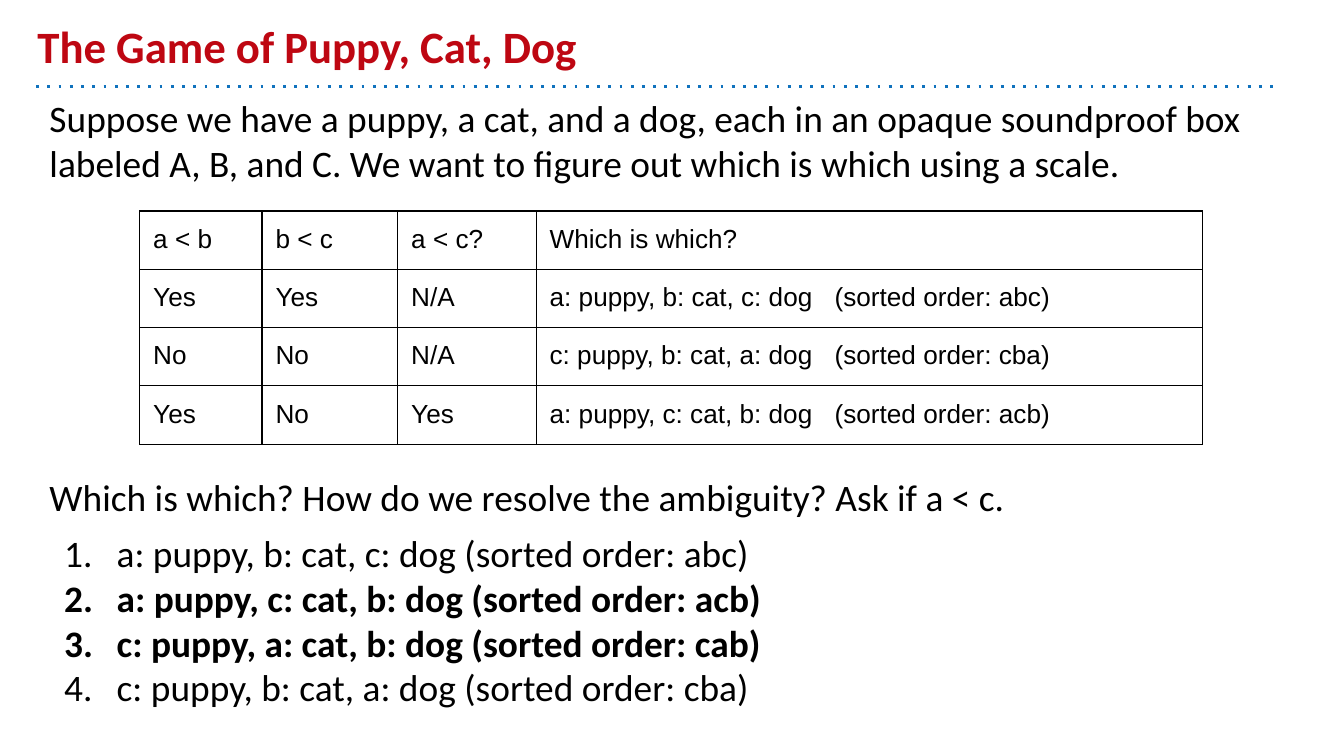
import dataclasses
import typing

import pptx
import pptx.dml.color
import pptx.enum.shapes
import pptx.enum.text
import pptx.oxml.ns
import pptx.util
from lxml import etree

W, H = 10, 5.625
COLORS = {"title": "BE0712", "rule": "1072BD", "ink": "000000", "paper": "FFFFFF"}
COLUMN_SHARES = (0.091, 0.101, 0.103, 0.496)
ROW_SHARE = 0.0747
INSET = 0.1
TAB_STOP = 2.12


@dataclasses.dataclass(frozen=True)
class Box:
    x: float
    y: float
    w: float
    h: float

    def emu(self) -> list[int]:
        return [pptx.util.Inches(v) for v in
                (self.x * W, self.y * H, self.w * W, self.h * H)]


@dataclasses.dataclass(frozen=True)
class Line:
    text: str
    size: float = 20
    color: str = "ink"
    font: str = "Calibri"
    bold: bool = False
    before: float = 0
    numbered: bool = False


TITLE = Line("The Game of Puppy, Cat, Dog", size=24, color="title", bold=True)
BODY = (
    Line("Suppose we have a puppy, a cat, and a dog, each in an opaque soundproof box "
         "labeled A, B, and C. We want to figure out which is which using a scale.", before=6),
    Line("Which is which? How do we resolve the ambiguity? Ask if a < c.", before=155),
    Line("a: puppy, b: cat, c: dog (sorted order: abc)", before=6, numbered=True),
    Line("a: puppy, c: cat, b: dog (sorted order: acb)", bold=True, numbered=True),
    Line("c: puppy, a: cat, b: dog (sorted order: cab)", bold=True, numbered=True),
    Line("c: puppy, b: cat, a: dog (sorted order: cba)", numbered=True),
)
ROWS = (
    ("a < b", "b < c", "a < c?", "Which is which?"),
    ("Yes", "Yes", "N/A", "a: puppy, b: cat, c: dog\t(sorted order: abc)"),
    ("No", "No", "N/A", "c: puppy, b: cat, a: dog\t(sorted order: cba)"),
    ("Yes", "No", "Yes", "a: puppy, c: cat, b: dog\t(sorted order: acb)"),
)


def rgb(name: str) -> pptx.dml.color.RGBColor:
    return pptx.dml.color.RGBColor.from_string(COLORS[name])


def sub(parent: typing.Any, tag: str, **attrs: typing.Any) -> typing.Any:
    return etree.SubElement(parent, pptx.oxml.ns.qn(tag),
                            {k: str(v) for k, v in attrs.items()})


def write(p: typing.Any, line: Line) -> None:
    p.text = line.text
    p.space_before = pptx.util.Pt(line.before)
    for r in p.runs:
        r.font.name, r.font.size, r.font.bold = line.font, pptx.util.Pt(line.size), line.bold
        r.font.color.rgb = rgb(line.color)
    pPr = p._p.get_or_add_pPr()
    if line.numbered:
        pPr.set("marL", str(pptx.util.Inches(0.5)))
        pPr.set("indent", str(pptx.util.Inches(-0.39)))
        sub(pPr, "a:buAutoNum", type="arabicPeriod")
    if "\t" in line.text:
        sub(sub(pPr, "a:tabLst"), "a:tab", pos=pptx.util.Inches(TAB_STOP), algn="l")


def add_text(s: typing.Any, box: Box, lines: typing.Sequence[Line],
             anchor: pptx.enum.text.MSO_ANCHOR) -> None:
    tf = s.shapes.add_textbox(*box.emu()).text_frame
    tf.word_wrap = True
    tf.vertical_anchor = anchor
    tf.margin_left = tf.margin_right = pptx.util.Inches(INSET)
    tf.margin_top = tf.margin_bottom = pptx.util.Inches(INSET)
    for i, line in enumerate(lines):
        write(tf.add_paragraph() if i else tf.paragraphs[0], line)


def add_rule(s: typing.Any, x1: float, x2: float, y: float) -> None:
    left, top, width, _ = Box(x1, y, x2 - x1, 0).emu()
    sp = s.shapes.add_connector(pptx.enum.shapes.MSO_CONNECTOR.STRAIGHT,
                                left, top, left + width, top)
    sp.line.color.rgb = rgb("rule")
    sp.line.width = pptx.util.Pt(1.5)
    spPr = sp._element.spPr
    sub(spPr.find(pptx.oxml.ns.qn("a:ln")), "a:prstDash", val="dot")
    sub(spPr, "a:effectLst")


def format_cell(cell: typing.Any, text: str) -> None:
    cell.margin_left = cell.margin_right = pptx.util.Inches(INSET)
    cell.margin_top = cell.margin_bottom = pptx.util.Inches(INSET)
    write(cell.text_frame.paragraphs[0], Line(text, size=14, font="Arial"))
    tcPr = cell._tc.get_or_add_tcPr()
    for side in "LRTB":
        ln = sub(tcPr, f"a:ln{side}", w=pptx.util.Pt(0.75))
        sub(sub(ln, "a:solidFill"), "a:srgbClr", val=COLORS["ink"])
    cell.fill.solid()
    cell.fill.fore_color.rgb = rgb("paper")


def add_table(s: typing.Any, x: float, y: float) -> None:
    box = Box(x, y, sum(COLUMN_SHARES), ROW_SHARE * len(ROWS))
    table = s.shapes.add_table(len(ROWS), len(COLUMN_SHARES), *box.emu()).table
    table.first_row = table.horz_banding = False
    for column, share in zip(table.columns, COLUMN_SHARES):
        column.width = pptx.util.Inches(share * W)
    for i, texts in enumerate(ROWS):
        table.rows[i].height = pptx.util.Inches(ROW_SHARE * H)
        for j, text in enumerate(texts):
            format_cell(table.cell(i, j), text)


def main() -> None:
    prs = pptx.Presentation()
    prs.slide_width, prs.slide_height = pptx.util.Inches(W), pptx.util.Inches(H)
    s = prs.slides.add_slide(prs.slide_layouts[6])
    add_rule(s, 0.027, 0.95, 0.114)
    add_text(s, Box(0.018, 0.018, 0.9, 0.096), [TITLE], pptx.enum.text.MSO_ANCHOR.BOTTOM)
    add_text(s, Box(0.027, 0.108, 0.923, 0.807), BODY, pptx.enum.text.MSO_ANCHOR.TOP)
    add_table(s, 0.104, 0.279)
    prs.save("out.pptx")


if __name__ == "__main__":
    main()
